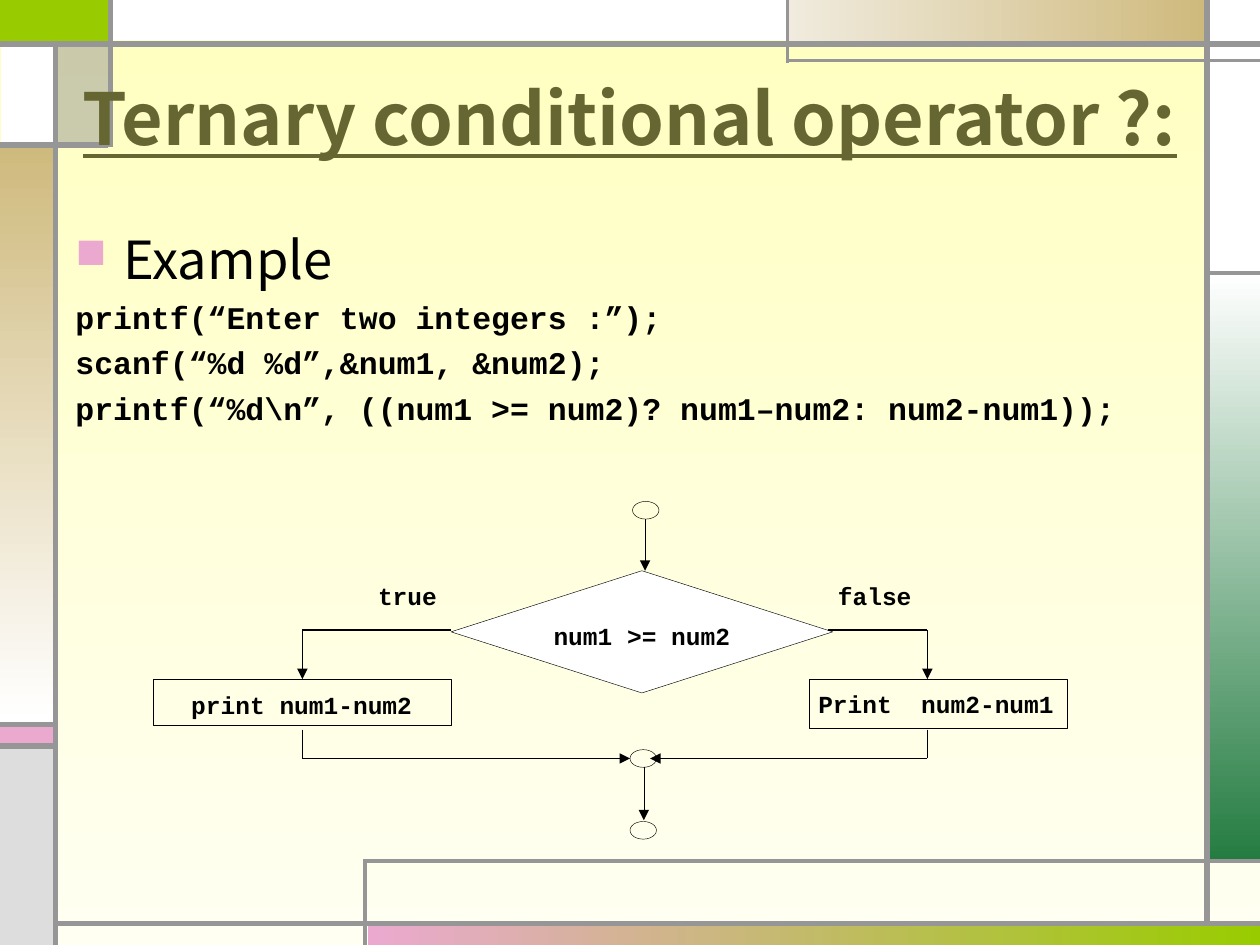
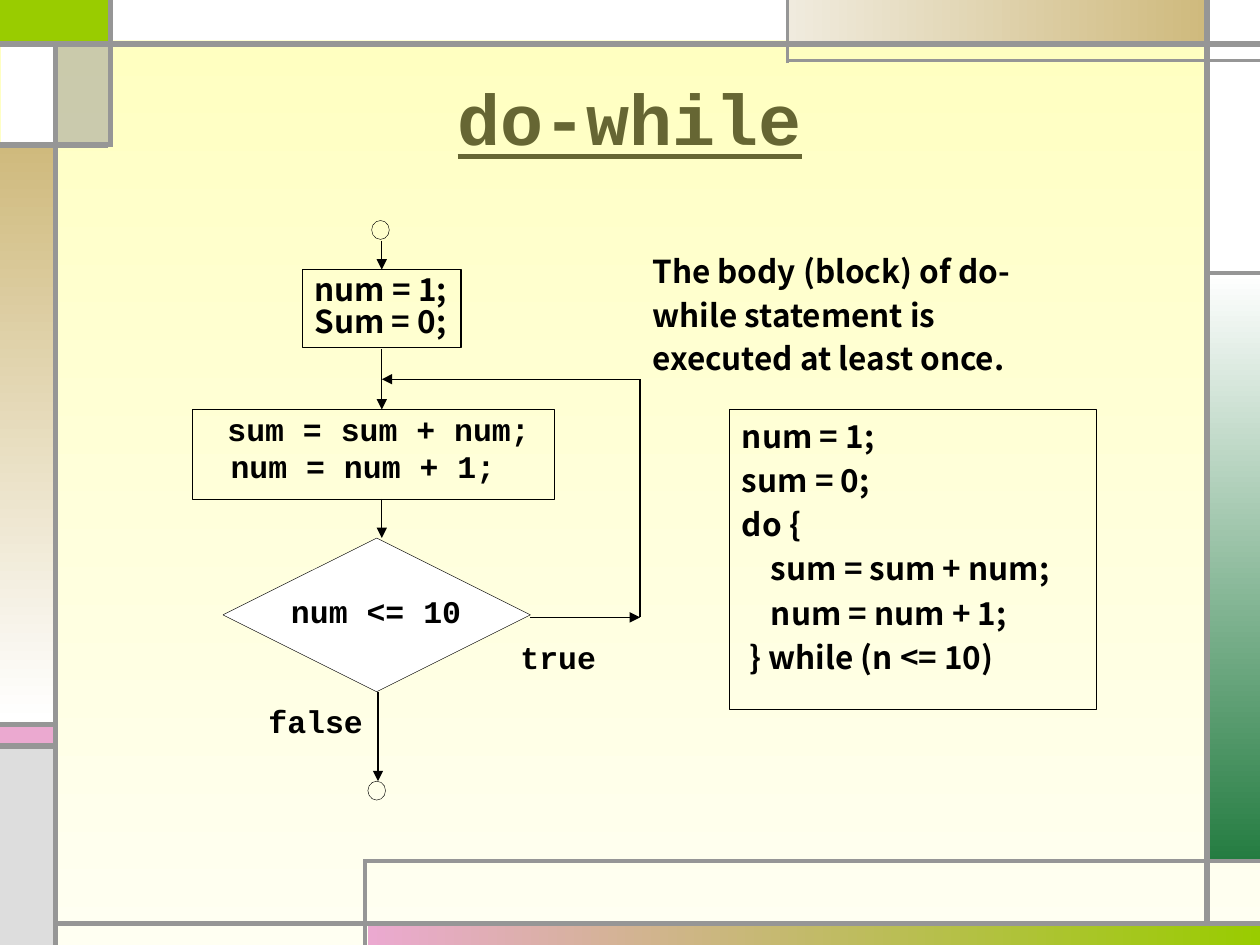
import pptx
import pptx.util
import pptx.dml.color
import pptx.enum.shapes
import pptx.enum.text
import pptx.oxml.ns
import lxml.etree

Inches = pptx.util.Inches
Pt = pptx.util.Pt
RGBColor = pptx.dml.color.RGBColor
MSO = pptx.enum.shapes.MSO_SHAPE
ALIGN = pptx.enum.text.PP_ALIGN
ANCHOR = pptx.enum.text.MSO_ANCHOR
STRAIGHT = pptx.enum.shapes.MSO_CONNECTOR.STRAIGHT
qn = pptx.oxml.ns.qn

BLACK = RGBColor(0x00, 0x00, 0x00)
WHITE = RGBColor(0xFF, 0xFF, 0xFF)
OLIVE = RGBColor(0x66, 0x66, 0x33)
LIME = RGBColor(0x99, 0xCC, 0x00)
PINK = RGBColor(0xEB, 0xA9, 0xD0)
GREEN = RGBColor(0x24, 0x7C, 0x41)
SAND = RGBColor(0xCF, 0xBA, 0x7D)
PALE_SAND = RGBColor(0xF0, 0xEB, 0xDE)
LIGHT_GRAY = RGBColor(0xDD, 0xDD, 0xDD)
GRAY = RGBColor(0x96, 0x96, 0x96)
YELLOW = RGBColor(0xFF, 0xFF, 0xBF)
CREAM = RGBColor(0xFF, 0xFF, 0xF2)
MONO = "Courier New"
SANS = "Noto Sans CJK KR"


def write(shape, text, size=18, font=MONO, color=BLACK, bold=True, underline=None,
          align=ALIGN.LEFT, anchor=ANCHOR.TOP, inset=(0, 0), wrap=True,
          spacing=None, before=0, indents=()):
    tf = shape.text_frame
    tf.word_wrap = wrap
    tf.auto_size = pptx.enum.text.MSO_AUTO_SIZE.NONE
    tf.vertical_anchor = anchor
    tf.margin_left = tf.margin_right = Inches(inset[0])
    tf.margin_top = tf.margin_bottom = Inches(inset[1])
    for i, words in enumerate(text.split("\n")):
        p = tf.paragraphs[0] if i == 0 else tf.add_paragraph()
        p.alignment = align
        p.space_before = Pt(before)
        p.line_spacing = spacing
        if i < len(indents):
            p._p.get_or_add_pPr().set("marL", str(Inches(indents[i])))
        r = p.add_run()
        r.text = words
        r.font.size = Pt(size)
        r.font.name = font
        r.font.bold = bold
        r.font.underline = underline
        r.font.color.rgb = color


def draw(s, points, width=0.75, color=BLACK, arrow=False):
    for start, end in zip(points, points[1:]):
        c = s.shapes.add_connector(STRAIGHT, *[Inches(v) for v in start + end])
        c.line.width = Pt(width)
        c.line.color.rgb = color
        lxml.etree.SubElement(c._element.spPr, qn("a:effectLst"))
    if arrow:
        lxml.etree.SubElement(c.line._get_or_add_ln(), qn("a:tailEnd"), type="triangle")
    return c


prs = pptx.Presentation()
prs.slide_width = Inches(10)
prs.slide_height = Inches(7.5)
master = prs.slide_master
layout = prs.slide_layouts[5]

fill = master.background.fill
fill.gradient()
fill.gradient_angle = 270
for stop, color in zip(fill.gradient_stops, (YELLOW, CREAM)):
    stop.color.rgb = color

slides = []
for title, font in (("Ternary conditional operator ?:", SANS), ("do-while", MONO)):
    s = prs.slides.add_slide(layout)
    sp = s.shapes.title
    sp.left, sp.top, sp.width, sp.height = [Inches(v) for v in (0.5, 0.3, 9, 1.25)]
    write(sp, title, size=41, font=font, color=OLIVE, underline=True,
          align=ALIGN.CENTER, anchor=ANCHOR.MIDDLE, inset=(0.1, 0.05))
    slides.append(s)

# Master bands and rules
s = slides[0]
frame = []
for box, colors, angle in (
    ((0, 0, 0.87, 0.34), (LIME,), 0),
    ((2.92, 7.33, 7.08, 0.17), (PINK, LIME), 0),
    ((9.58, 2.17, 0.42, 4.67), (WHITE, GREEN), 270),
    ((0, 5.75, 0.42, 0.17), (PINK,), 0),
    ((0, 5.93, 0.42, 1.57), (LIGHT_GRAY,), 0),
    ((9.58, 0, 0.42, 2.17), (WHITE,), 0),
    ((6.25, 0, 3.33, 0.33), (PALE_SAND, SAND), 0),
    ((0.46, 0.33, 0.42, 0.82), (GRAY,), 0),
    ((0, 1.15, 0.42, 4.58), (SAND, WHITE), 270),
    ((0.01, 0.33, 0.42, 0.82), (WHITE,), 0),
    ((0.86, 0, 5.39, 0.32), (WHITE,), 0),
):
    sp = s.shapes.add_shape(MSO.RECTANGLE, *[Inches(v) for v in box])
    sp.shadow.inherit = False
    sp.line.fill.background()
    if len(colors) == 2:
        sp.fill.gradient()
        sp.fill.gradient_angle = angle
        for stop, color in zip(sp.fill.gradient_stops, colors):
            stop.color.rgb = color
    else:
        sp.fill.solid()
        sp.fill.fore_color.rgb = colors[0]
    if colors == (GRAY,):
        rgb = sp._element.spPr.find(".//" + qn("a:srgbClr"))
        lxml.etree.SubElement(rgb, qn("a:alpha"), val="50000")
    frame.append(sp)

for start, end, width in (
    ((0.44, 7.5), (0.44, 0.33), 3),
    ((0.44, 7.33), (10, 7.33), 3),
    ((9.58, 7.33), (9.58, 0), 3),
    ((0, 0.35), (10, 0.35), 3),
    ((10, 0.48), (6.25, 0.48), 2.25),
    ((6.25, 0.5), (6.25, 0), 2.25),
    ((9.58, 2.17), (10, 2.17), 2.25),
    ((0.88, 0), (0.88, 1.17), 3),
    ((0.86, 1.15), (0, 1.15), 3),
    ((2.9, 7.5), (2.9, 6.82), 2.25),
    ((2.89, 6.83), (10, 6.83), 2.25),
    ((0.46, 5.75), (0, 5.75), 3),
    ((0.46, 5.92), (0, 5.92), 3),
):
    frame.append(draw(s, (start, end), width, GRAY))

for i, sp in enumerate(frame):
    sp._element.find(".//" + qn("p:cNvPr")).set("id", str(100 + i))
    master.shapes._spTree.insert(2 + i, sp._element)

outlines = (
    (
        (MSO.RECTANGLE, (1.22, 5.39, 2.36, 0.37), 0.25),
        (MSO.RECTANGLE, (6.42, 5.39, 2.05, 0.39), 0.25),
        (MSO.OVAL, (5, 6.52, 0.21, 0.14), 0.25),
        (MSO.OVAL, (5, 5.95, 0.21, 0.14), 0.25),
        (MSO.OVAL, (5.02, 3.98, 0.21, 0.14), 0.25),
        (MSO.DIAMOND, (3.58, 4.53, 3.03, 0.97), 0.25),
    ),
    (
        (MSO.OVAL, (2.95, 1.75, 0.14, 0.15), 0.25),
        (MSO.OVAL, (2.92, 6.2, 0.14, 0.15), 0.25),
        (MSO.RECTANGLE, (1.53, 3.25, 2.87, 0.71), 0.25),
        (MSO.DIAMOND, (1.77, 4.27, 2.44, 1.22), 0.25),
        (MSO.RECTANGLE, (2.4, 2.14, 1.26, 0.62), 0.75),
        (MSO.RECTANGLE, (5.79, 3.25, 2.91, 2.38), 0.75),
    ),
)
flows = (
    (
        (((5.12, 4.12), (5.12, 4.53)), 0.25, True),
        (((3.58, 5), (2.4, 5), (2.4, 5.39)), 0.75, True),
        (((6.57, 5), (7.36, 5), (7.36, 5.39)), 0.75, True),
        (((2.4, 5.79), (2.4, 6.02)), 0.75, False),
        (((7.36, 5.79), (7.36, 6.02)), 0.75, False),
        (((2.4, 6.02), (5, 6.02)), 0.25, True),
        (((7.36, 6.02), (5.16, 6.02)), 0.25, True),
        (((5.11, 6.09), (5.11, 6.51)), 0.25, True),
    ),
    (
        (((3.03, 1.91), (3.03, 2.14)), 0.75, True),
        (((3.03, 2.77), (3.03, 3.25)), 0.75, True),
        (((3.03, 3.96), (3.03, 4.27)), 0.75, True),
        (((3, 5.49), (3, 6.2)), 0.75, True),
        (((4.21, 4.9), (5.08, 4.9)), 0.75, True),
        (((5.08, 4.9), (5.08, 3.01), (3.03, 3.01)), 0.75, True),
    ),
)
labels = (
    (
        ((6.65, 4.61, 0.68, 0.27), "false", ALIGN.LEFT),
        ((3, 4.61, 0.71, 0.27), "true", ALIGN.LEFT),
        ((1.45, 5.48, 1.89, 0.26), "print num1-num2", ALIGN.CENTER),
        ((6.42, 5.47, 2.02, 0.32), "Print  num2-num1", ALIGN.CENTER),
        ((4.24, 4.93, 1.71, 0.21), "num1 >= num2", ALIGN.CENTER),
    ),
    (
        ((4.13, 5.06, 0.71, 0.31), "true", ALIGN.LEFT),
        ((1.85, 4.7, 2.27, 0.28), "num <= 10", ALIGN.CENTER),
        ((2.13, 5.57, 0.91, 0.38), "false", ALIGN.LEFT),
    ),
)
for s, shapes, lines, texts, size in zip(slides, outlines, flows, labels, (14, 18)):
    for kind, box, width in shapes:
        sp = s.shapes.add_shape(kind, *[Inches(v) for v in box])
        sp.shadow.inherit = False
        sp.line.width = Pt(width)
        sp.line.color.rgb = BLACK
        if kind == MSO.DIAMOND:
            sp.fill.solid()
            sp.fill.fore_color.rgb = WHITE
        else:
            sp.fill.background()
    for points, width, arrow in lines:
        draw(s, points, width, arrow=arrow)
    for box, words, align in texts:
        sp = s.shapes.add_textbox(*[Inches(v) for v in box])
        write(sp, words, size=size, align=align)

# Slide 1 example code
s = slides[0]
sp = s.shapes.add_textbox(Inches(0.5), Inches(1.75), Inches(9), Inches(4.95))
write(sp, "Example\nprintf(“Enter two integers :”);\nscanf(“%d %d”,&num1, &num2);\n"
      "printf(“%d\\n”, ((num1 >= num2)? num1–num2: num2-num1));",
      inset=(0.1, 0.05), before=4.5)
p = sp.text_frame.paragraphs[0]
p.space_before = Pt(6)
r = p.runs[0]
r.font.name, r.font.size, r.font.bold = SANS, Pt(30), False
pPr = p._p.get_or_add_pPr()
pPr.set("marL", str(Inches(0.38)))
pPr.set("indent", str(Inches(-0.38)))
clr = lxml.etree.SubElement(pPr, qn("a:buClr"))
lxml.etree.SubElement(clr, qn("a:srgbClr"), val=str(PINK))
lxml.etree.SubElement(pPr, qn("a:buSzPct"), val="80000")
lxml.etree.SubElement(pPr, qn("a:buChar"), char="■")

# Slide 2 steps, code and remark
s = slides[1]
start_box, code_box = list(s.shapes)[5:7]
write(start_box, "num = 1;\nSum = 0;", font=SANS, inset=(0.1, 0.05),
      wrap=False, spacing=0.85)
write(code_box, "num = 1;\nsum = 0;\ndo {\nsum = sum + num;\nnum = num + 1;\n} while (n <= 10)",
      font=SANS, inset=(0.1, 0.13), spacing=0.75, before=9,
      indents=(0, 0, 0, 0.23, 0.23, 0.06))
sp = s.shapes.add_textbox(Inches(1.53), Inches(3.25), Inches(2.95), Inches(0.55))
write(sp, "sum = sum + num;\nnum = num + 1;", indents=(0, 0.3))
sp.text_frame.paragraphs[0].alignment = ALIGN.CENTER
sp = s.shapes.add_textbox(Inches(5.08), Inches(1.91), Inches(3.47), Inches(1.15))
write(sp, "The body (block) of do-while statement is executed at least once.",
      font=SANS, inset=(0.1, 0.05), spacing=1.15, before=9)

prs.save("out.pptx")
